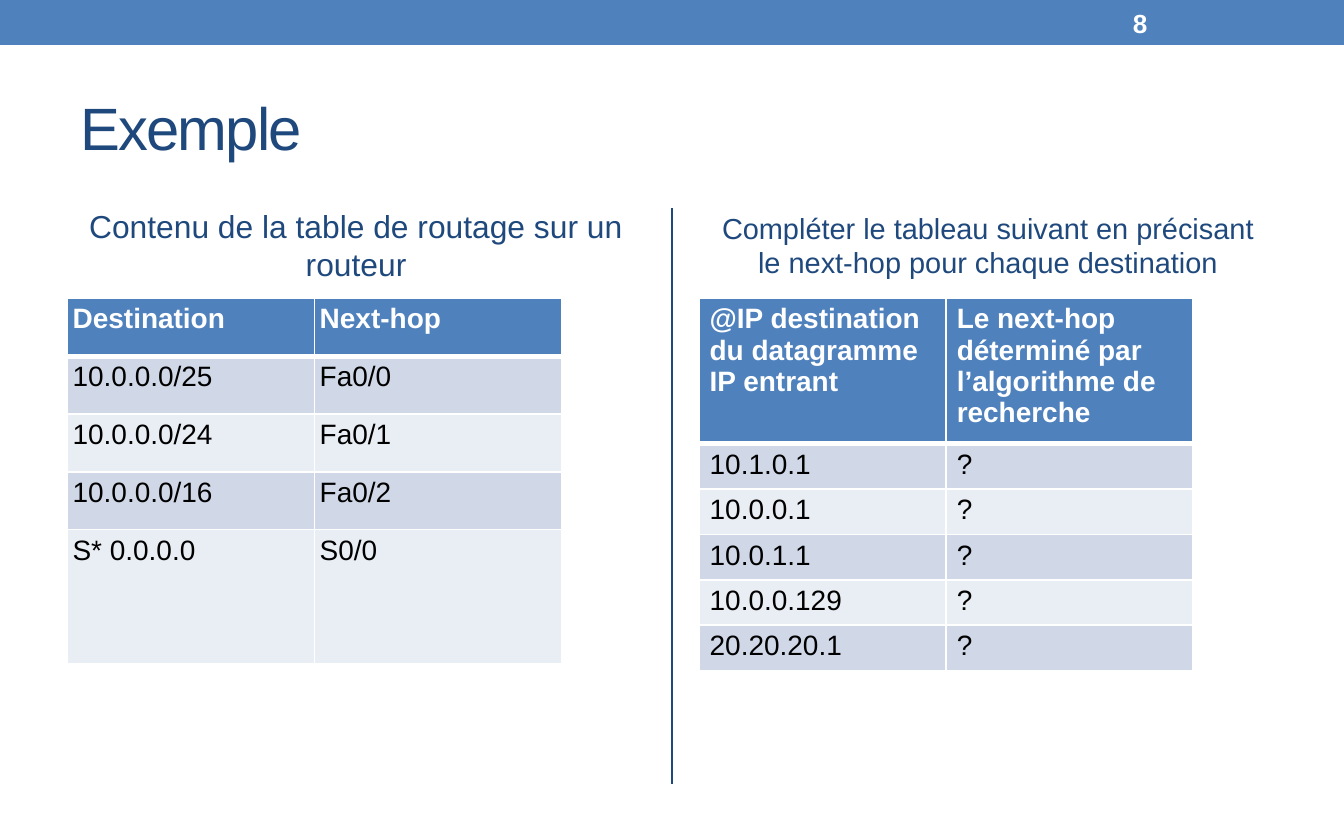
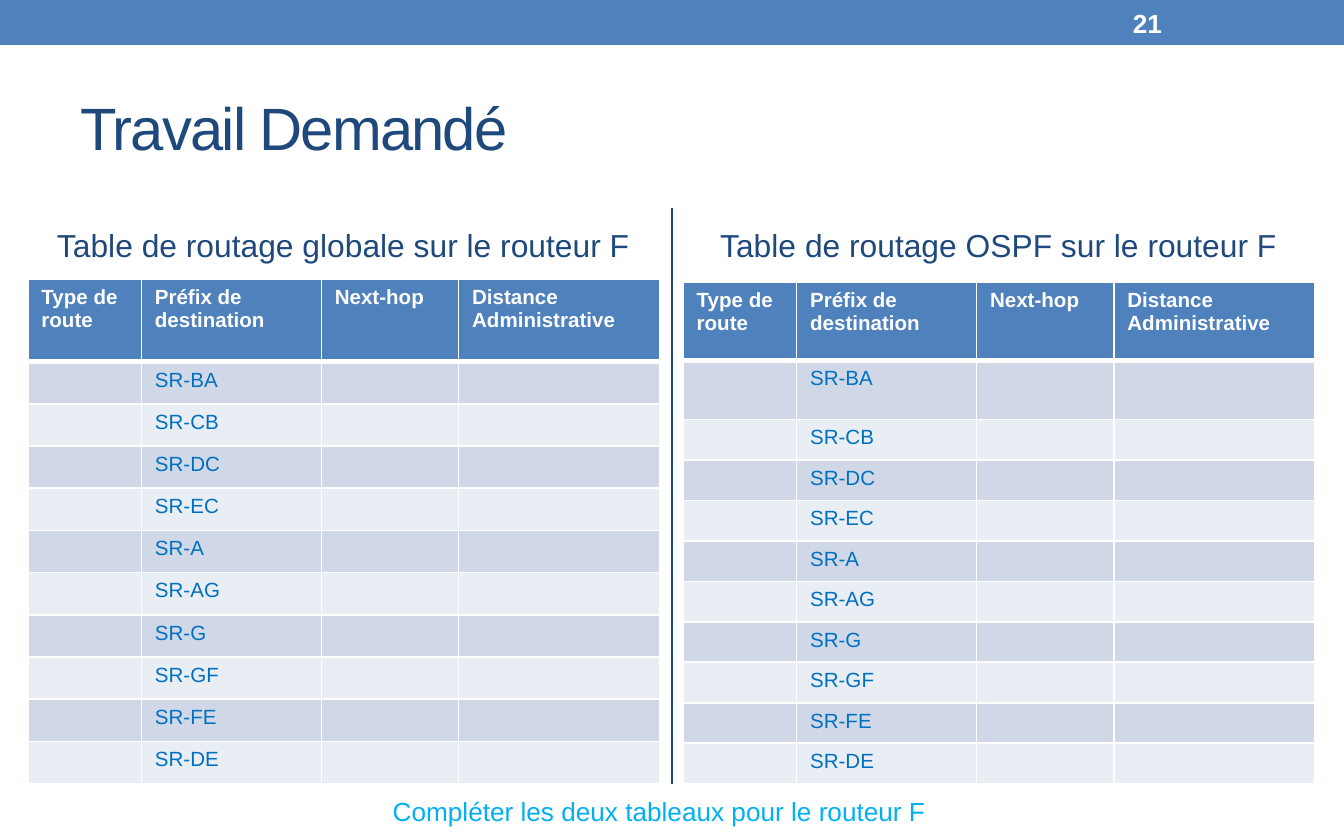
from collections import namedtuple
from dataclasses import dataclass

from lxml import etree
from pptx import Presentation
from pptx.dml.color import RGBColor
from pptx.enum.shapes import MSO_CONNECTOR, MSO_SHAPE
from pptx.enum.text import MSO_ANCHOR, PP_ALIGN
from pptx.oxml.ns import qn
from pptx.util import Pt

RECTANGLE = MSO_SHAPE.RECTANGLE
STRAIGHT = MSO_CONNECTOR.STRAIGHT
TOP, MIDDLE = MSO_ANCHOR.TOP, MSO_ANCHOR.MIDDLE
LEFT, CENTER = PP_ALIGN.LEFT, PP_ALIGN.CENTER

Box = namedtuple("Box", "left top width height")
Grid = namedtuple("Grid", "columns heights inset_x inset_y size color")


@dataclass(frozen=True)
class Theme:
    """Colours, font and type sizes shared by the slides."""

    font: str = "Arial"
    band: str = "4F81BD"
    navy: str = "1F497D"
    white: str = "FFFFFF"
    black: str = "000000"
    stripes: tuple = ("D0D8E8", "E9EDF4")
    prefix: str = "0070C0"
    instruction: str = "00B0F0"
    title_size: float = 32
    heading_size: float = 17
    long_heading_size: float = 15.5
    note_size: float = 14
    example_size: float = 15
    exercise_size: float = 11


THEME = Theme()
PAGE = Box(0, 0, 720, 450)
BAND_HEIGHT = 24
HEADING_HEIGHT = 41.8
PANEL_TOP = 110.2
RULE_WEIGHT, HEADER_RULE_WEIGHT = 1, 3

PREFIXES = ("SR-BA", "SR-CB", "SR-DC", "SR-EC", "SR-A",
            "SR-AG", "SR-G", "SR-GF", "SR-FE", "SR-DE")
EXERCISE_ROWS = [("Type de route", "Préfix de destination", "Next-hop",
                  "Distance Administrative")]
EXERCISE_ROWS += [("", prefix, "", "") for prefix in PREFIXES]
EXERCISE_COLUMNS = (60.8, 96.4, 73.6, 107.6)

ROUTES = [("Destination", "Next-hop"),
          ("10.0.0.0/25", "Fa0/0"),
          ("10.0.0.0/24", "Fa0/1"),
          ("10.0.0.0/16", "Fa0/2"),
          ("S* 0.0.0.0", "S0/0")]
ADDRESSES = ("10.1.0.1", "10.0.0.1", "10.0.1.1", "10.0.0.129", "20.20.20.1")
LOOKUPS = [("@IP destination du datagramme IP entrant",
            "Le next-hop déterminé par l’algorithme de recherche")]
LOOKUPS += [(address, "?") for address in ADDRESSES]


def points(box):
    """Convert a box to lengths."""
    return [Pt(length) for length in box]


def write(paragraph, text, size, color, bold=False):
    """Add one styled run to a paragraph and return it."""
    run = paragraph.add_run()
    run.text = text
    run.font.name = THEME.font
    run.font.size = Pt(size)
    run.font.bold = bold
    run.font.color.rgb = RGBColor.from_string(color)
    return run


def add_text(slide, box, text, size, color, align=LEFT, anchor=MIDDLE, bold=False):
    """Add a wrapped line of text and return its run."""
    frame = slide.shapes.add_textbox(*points(box)).text_frame
    frame.word_wrap = True
    frame.vertical_anchor = anchor
    paragraph = frame.paragraphs[0]
    paragraph.alignment = align
    return write(paragraph, text, size, color, bold)


def add_frame(slide, box, title, number):
    """Draw the band, page number, title and central divider."""
    band = slide.shapes.add_shape(RECTANGLE, *points(box._replace(height=BAND_HEIGHT)))
    band.shadow.inherit = False
    band.fill.solid()
    band.fill.fore_color.rgb = RGBColor.from_string(THEME.band)
    band.line.fill.background()

    middle = box.left + box.width / 2
    divider = slide.shapes.add_connector(
        STRAIGHT, Pt(middle), Pt(box.top + 111.6), Pt(middle), Pt(box.top + 419.8))
    divider.line.color.rgb = RGBColor.from_string(THEME.navy)
    divider.line.width = Pt(1.5)
    etree.SubElement(divider._element.spPr, qn("a:effectLst"))

    title_box = Box(box.left + 36, box.top + 35.3, box.width - 72, 64.8)
    heading = add_text(slide, title_box, title, THEME.title_size, THEME.navy)
    heading.font._element.set("spc", "-100")
    number_box = Box(box.left + 599.8, box.top + 1.4, 84.2, 21.6)
    add_text(slide, number_box, number, THEME.note_size, THEME.white, bold=True)


def rule_cell(cell, row):
    """Draw the white rules of a cell, thicker under the header."""
    weights = {"L": RULE_WEIGHT, "R": RULE_WEIGHT,
               "T": HEADER_RULE_WEIGHT if row == 1 else RULE_WEIGHT,
               "B": HEADER_RULE_WEIGHT if row == 0 else RULE_WEIGHT}
    properties = cell._tc.get_or_add_tcPr()
    for side, weight in weights.items():
        line = etree.SubElement(properties, qn(f"a:ln{side}"), w=str(Pt(weight)))
        fill = etree.SubElement(line, qn("a:solidFill"))
        etree.SubElement(fill, qn("a:srgbClr"), val=THEME.white)


def fill_cell(cell, text, row, grid):
    """Style one cell and write its text."""
    rule_cell(cell, row)
    cell.fill.solid()
    background = THEME.stripes[(row - 1) % 2] if row else THEME.band
    cell.fill.fore_color.rgb = RGBColor.from_string(background)
    cell.margin_left = cell.margin_right = Pt(grid.inset_x)
    cell.margin_top = cell.margin_bottom = Pt(grid.inset_y)
    paragraph = cell.text_frame.paragraphs[0]
    if text:
        color = grid.color if row else THEME.white
        write(paragraph, text, grid.size, color, bold=row == 0)
    else:
        etree.SubElement(paragraph._p, qn("a:endParaRPr"), sz=str(int(grid.size * 100)))


def add_grid(slide, left, top, rows, grid):
    """Add a striped table with a header row."""
    box = Box(left, top, sum(grid.columns), sum(grid.heights))
    table = slide.shapes.add_table(len(rows), len(grid.columns), *points(box)).table
    for column, width in zip(table.columns, grid.columns):
        column.width = Pt(width)
    for index, (row, height, texts) in enumerate(zip(table.rows, grid.heights, rows)):
        row.height = Pt(height)
        for cell, text in zip(row.cells, texts):
            fill_cell(cell, text, index, grid)


def add_panel(slide, box, heading, heading_size, table_offset, rows, grid):
    """Place a centred heading above a table."""
    heading_box = box._replace(height=HEADING_HEIGHT)
    add_text(slide, heading_box, heading, heading_size, THEME.navy, CENTER)
    add_grid(slide, box.left, box.top + table_offset, rows, grid)


def example_slide(slide, box):
    """Build the routing table example."""
    add_frame(slide, box, "Exemple", "8")
    columns = (132.4, 132.4)
    routes = Grid(columns, [31] * 4 + [71.8], 2.9, 2.9,
                  THEME.example_size, THEME.black)
    lookups = Grid(columns, [78] + [24.3] * 5, 5.8, 2.9,
                   THEME.example_size, THEME.black)
    panel = Box(box.left + 36, box.top + PANEL_TOP, 309.6, 310)
    add_panel(slide, panel, "Contenu de la table de routage sur un routeur",
              THEME.heading_size, 49.6, ROUTES, routes)
    add_panel(slide, panel._replace(left=box.left + 374.4),
              "Compléter le tableau suivant en précisant le next-hop pour chaque destination",
              THEME.long_heading_size, 49.6, LOOKUPS, lookups)


def exercise_slide(slide, box):
    """Build the two tables to complete for router F."""
    add_frame(slide, box, "Travail Demandé", "21")
    panels = (
        ("globale", 15, 39.6, [44] + [22.6] * 10),
        ("OSPF", 366, 41, [41.8, 31.7] + [21.7] * 9),
    )
    for scope, left, table_offset, heights in panels:
        grid = Grid(EXERCISE_COLUMNS, heights, 7.2, 3.6,
                    THEME.exercise_size, THEME.prefix)
        panel = Box(box.left + left, box.top + PANEL_TOP, 338, 310)
        add_panel(slide, panel, f"Table de routage {scope} sur le routeur F",
                  THEME.heading_size, table_offset, EXERCISE_ROWS, grid)
    instruction_box = Box(box.left + 6.5, box.top + 422.6, 693.4, 24.5)
    add_text(slide, instruction_box, "Compléter les deux tableaux pour le routeur F",
             THEME.note_size, THEME.instruction, CENTER, TOP)


def main():
    """Build and save the presentation."""
    deck = Presentation()
    deck.slide_width, deck.slide_height = Pt(PAGE.width), Pt(PAGE.height)
    for build in (example_slide, exercise_slide):
        build(deck.slides.add_slide(deck.slide_layouts[6]), PAGE)
    deck.save("out.pptx")


if __name__ == "__main__":
    main()
